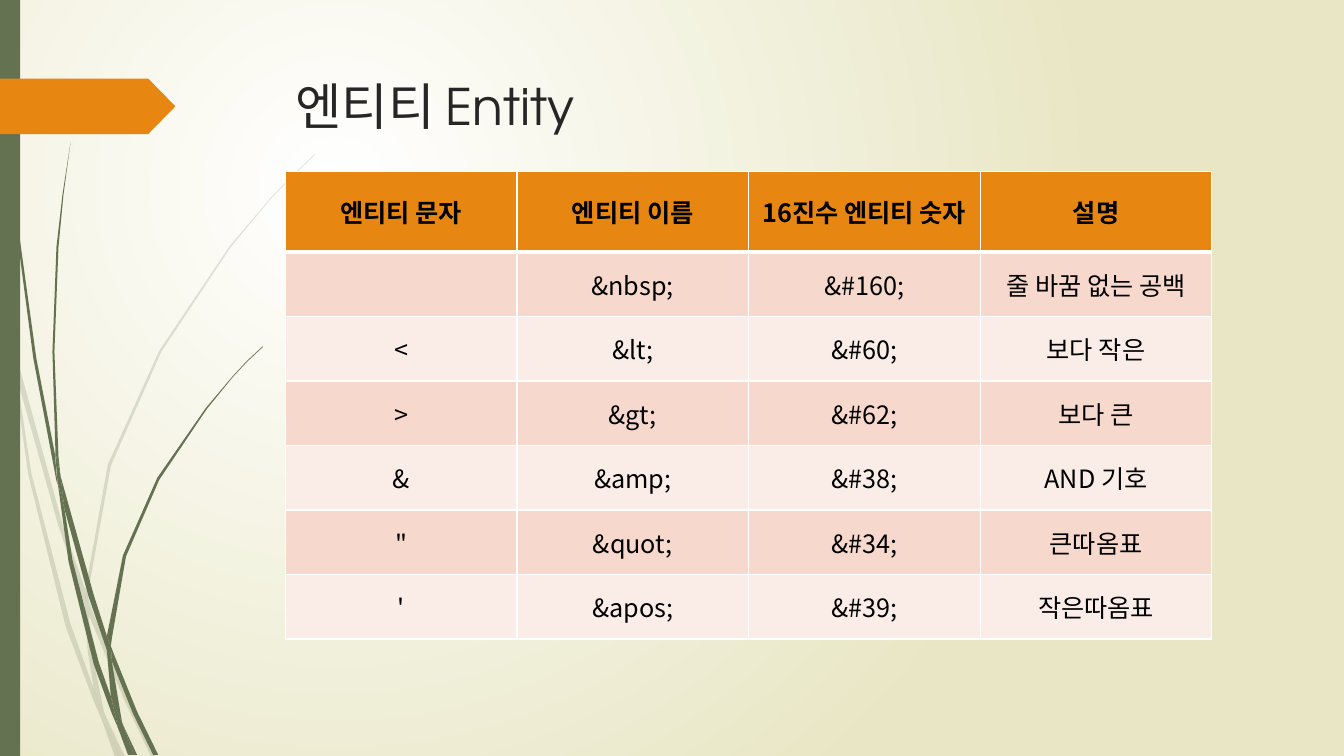
from dataclasses import dataclass

from lxml.etree import SubElement
from pptx import Presentation
from pptx.dml.color import RGBColor as Color
from pptx.enum.shapes import MSO_SHAPE as Shape
from pptx.enum.text import MSO_ANCHOR as Anchor, PP_ALIGN as Align
from pptx.oxml.ns import qn
from pptx.util import Inches, Pt


@dataclass(frozen=True)
class Theme:
    green: str = "647252"
    orange: str = "E78712"
    title: str = "262626"
    text: str = "000000"
    white: str = "FFFFFF"
    sand: str = "E8E6C4"
    bands: tuple = ("F6D9CC", "FAEDE7")
    title_font: str = "TeX Gyre Adventor"
    body_font: str = "Noto Sans CJK KR"
    title_size: int = 36
    body_size: int = 18


THEME = Theme()
SLIDE_WIDTH, SLIDE_HEIGHT = 13.33, 7.5
CONTENT_LEFT = 2.83
UNITS_PER_INCH = 100

ENTITIES = [
    ("엔티티 문자", "엔티티 이름", "16진수 엔티티 숫자", "설명"),
    ("", "&nbsp;", "&#160;", "줄 바꿈 없는 공백"),
    ("<", "&lt;", "&#60;", "보다 작은"),
    (">", "&gt;", "&#62;", "보다 큰"),
    ("&", "&amp;", "&#38;", "AND 기호"),
    ('"', "&quot;", "&#34;", "큰따옴표"),
    ("'", "&apos;", "&#39;", "작은따옴표"),
]

PALE_BLADES = [
    "11,350 9,322 0,282 0,299 10,344",
    "58,522 84,599 85,586 62,520 14,345 17,376",
    "92,607 88,596 88,610 123,694 150,751 155,751 127,692",
    "119,751 124,751 105,711",
    "93,683 70,619 31,469 17,376 11,350 28,470 65,621 92,693 101,714 99,707",
    "84,599 87,646 93,683 96,692 105,711 103,706 91,646 88,610 88,608",
    "88,584 110,462 160,349 229,245 268,198 290,175 312,154 312,153 289,175 "
    "268,197 228,244 158,348 107,461 85,584 85,586 88,596",
    "101,714 114,751 119,751",
    "88,608 88,610 88,596 85,586 84,599",
    "96,692 93,683 99,707 101,714 119,751 105,711",
]
DARK_BLADES = [
    "7,110 17,233 33,355 56,477 57,481 55,457 55,453 36,355 19,232 8,109 5,48 4,0 3,0 4,48",
    "88,592 106,645 106,633 106,631 93,590 60,472 64,505",
    "113,649 110,641 111,656 132,708 152,749 157,749 136,706",
    "110,691 98,657 72,556 64,505 57,477 68,557 93,659 111,708 117,722 116,717",
    "60,472 58,453 54,349 58,245 63,193 70,141 62,193 56,245 52,349 55,449",
    "133,749 136,749 122,719",
    "57,477 64,505 60,472 55,449 55,453",
    "111,633 125,552 158,476 205,406 231,374 245,359 261,344 260,344 245,358 "
    "231,373 204,405 156,474 122,551 106,631 110,641",
    "117,722 127,749 131,749",
    "106,645 110,691 116,706 122,719 121,716 111,656 109,651",
    "106,645 109,651 111,656 110,641 106,631 106,633",
    "116,706 110,691 116,717 117,722 130,749 133,749 122,719",
]


def paint(shape, color):
    shape.fill.solid()
    shape.fill.fore_color.rgb = Color.from_string(color)
    shape.line.fill.background()
    shape.shadow.inherit = False


def style_paragraph(paragraph, font_name, size, color, bold=False):
    font = paragraph.font
    font.size, font.bold, font.name = Pt(size), bold, font_name
    font.color.rgb = Color.from_string(color)
    properties = paragraph._p.pPr.find(qn("a:defRPr"))
    SubElement(properties, qn("a:ea"), typeface=THEME.body_font)


def set_background(slide):
    fill = slide.background.fill
    fill.gradient()
    for stop, color in zip(fill.gradient_stops, (THEME.white, THEME.sand)):
        stop.color.rgb = Color.from_string(color)
    linear = next(slide._element.iter(qn("a:lin")))
    gradient = linear.getparent()
    gradient.remove(linear)
    circle = SubElement(gradient, qn("a:path"), path="circle")
    SubElement(circle, qn("a:fillToRect"), l="50000", t="50000", r="100000", b="100000")


def add_blade(slide, outline, opacity=100):
    points = [tuple(map(int, point.split(","))) for point in outline.split()]
    builder = slide.shapes.build_freeform(*points[0], scale=Inches(1) / UNITS_PER_INCH)
    builder.add_line_segments(points[1:], close=True)
    blade = builder.convert_to_shape()
    paint(blade, THEME.green)
    if opacity < 100:
        color = blade._element.spPr.find(qn("a:solidFill"))[0]
        SubElement(color, qn("a:alpha"), val=str(opacity * 1000))


def add_block(slide, kind, left, top, width, height, color):
    block = slide.shapes.add_shape(
        kind, Inches(left), Inches(top), Inches(width), Inches(height))
    paint(block, color)
    return block


def add_title(slide, text):
    box = slide.shapes.add_textbox(
        Inches(CONTENT_LEFT), Inches(0.7), Inches(9.75), Inches(1.4))
    frame = box.text_frame
    frame.word_wrap = True
    frame.text = text
    style_paragraph(frame.paragraphs[0], THEME.title_font, THEME.title_size, THEME.title)


def add_cell_borders(cell, bottom):
    properties = cell._tc.get_or_add_tcPr()
    for side, width in (("L", 1), ("R", 1), ("T", 1), ("B", bottom)):
        line = SubElement(properties, qn(f"a:ln{side}"), w=str(Pt(width)))
        SubElement(SubElement(line, qn("a:solidFill")), qn("a:srgbClr"), val=THEME.white)


def fill_cell(cell, text, color, header):
    add_cell_borders(cell, bottom=3 if header else 1)
    cell.fill.solid()
    cell.fill.fore_color.rgb = Color.from_string(color)
    cell.vertical_anchor = Anchor.MIDDLE
    cell.margin_left = cell.margin_right = Inches(0.13)
    cell.margin_top = cell.margin_bottom = Inches(0.1)
    cell.text = text
    paragraph = cell.text_frame.paragraphs[0]
    paragraph.alignment = Align.CENTER
    style_paragraph(paragraph, THEME.body_font, THEME.body_size, THEME.text, header)


def add_entity_table(slide, rows):
    row_height = Inches(0.64)
    table = slide.shapes.add_table(
        len(rows), len(rows[0]), Inches(CONTENT_LEFT), Inches(1.7),
        Inches(9.19), row_height * len(rows)).table
    for row_index, texts in enumerate(rows):
        table.rows[row_index].height = row_height
        header = row_index == 0
        color = THEME.orange if header else THEME.bands[(row_index - 1) % 2]
        for column_index, text in enumerate(texts):
            fill_cell(table.cell(row_index, column_index), text, color, header)


def main():
    presentation = Presentation()
    presentation.slide_width = Inches(SLIDE_WIDTH)
    presentation.slide_height = Inches(SLIDE_HEIGHT)
    slide = presentation.slides.add_slide(presentation.slide_layouts[6])
    set_background(slide)
    for outline in PALE_BLADES:
        add_blade(slide, outline, opacity=20)
    for outline in DARK_BLADES:
        add_blade(slide, outline)
    add_block(slide, Shape.RECTANGLE, 0, 0, 0.2, SLIDE_HEIGHT, THEME.green)
    arrow = add_block(slide, Shape.PENTAGON, 0, 0.78, 1.74, 0.55, THEME.orange)
    arrow.adjustments[0] = 0.49
    add_title(slide, "엔티티 Entity")
    add_entity_table(slide, ENTITIES)
    presentation.save("out.pptx")


main()
